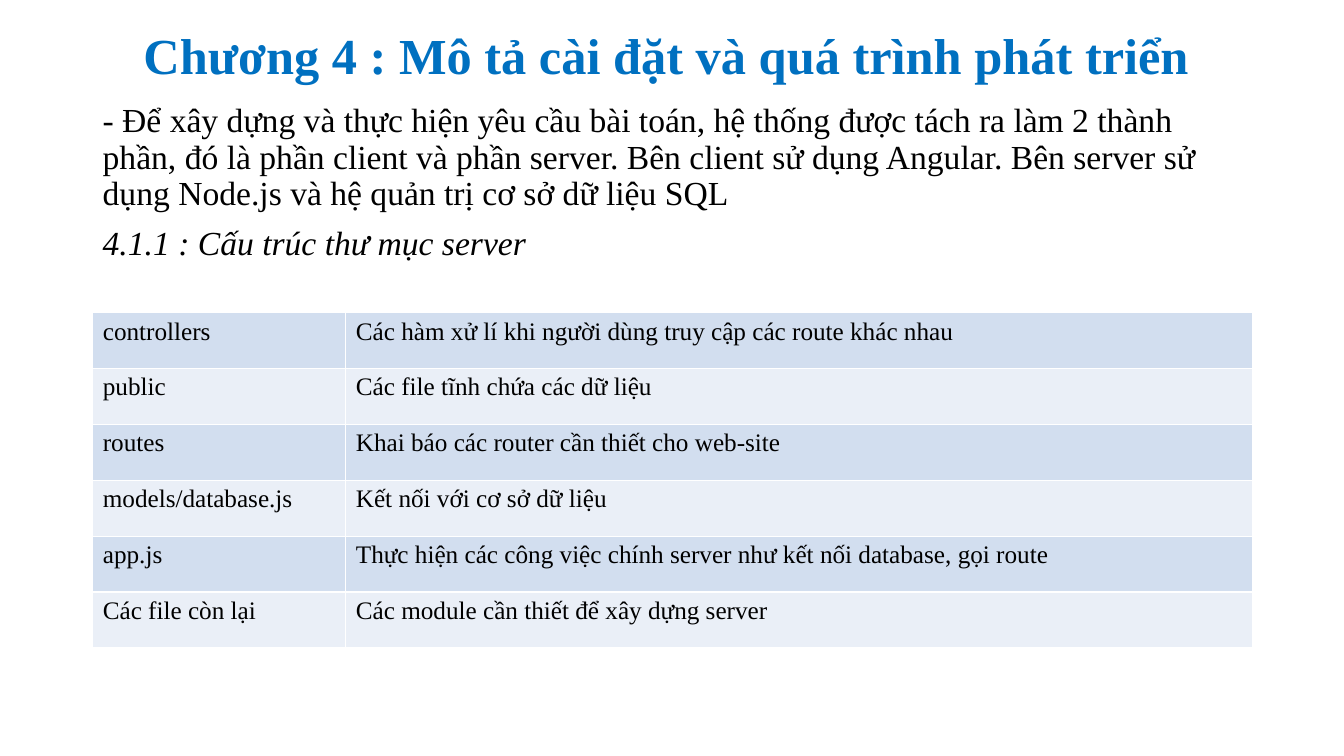
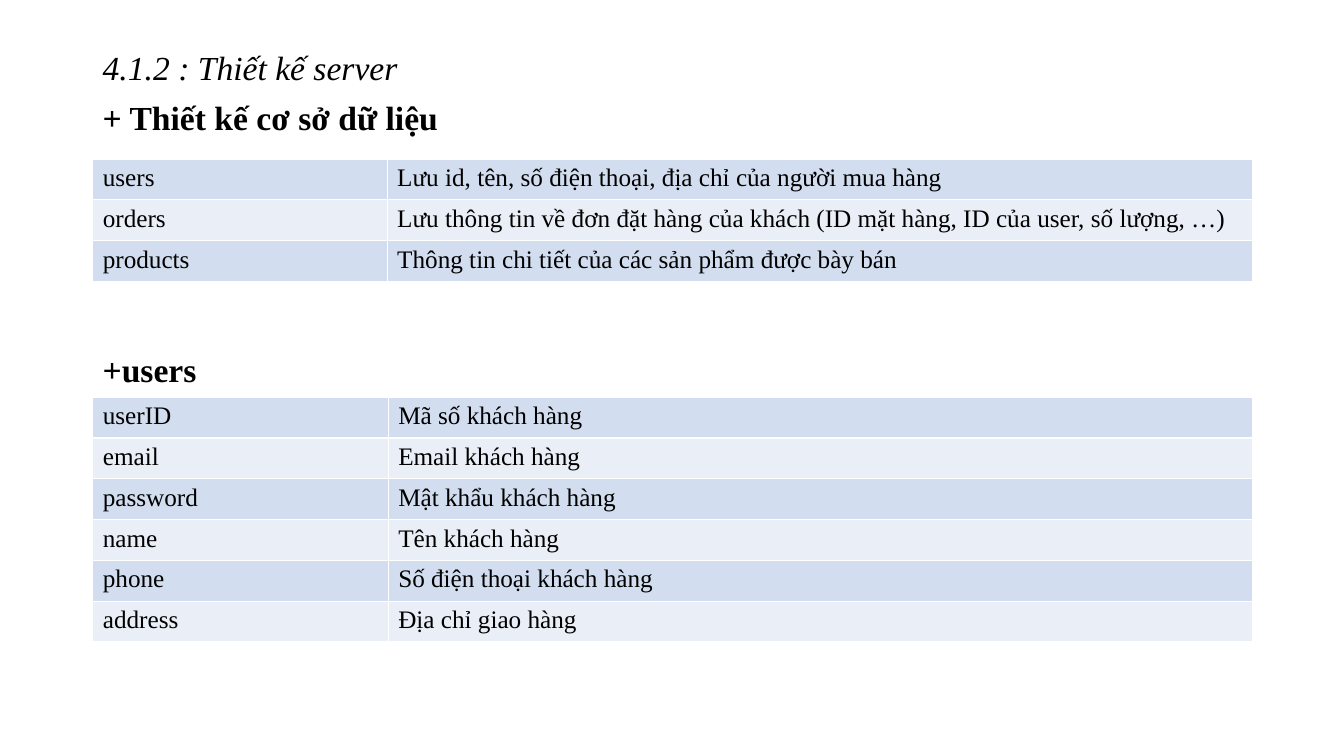
from dataclasses import dataclass

from pptx import Presentation
from pptx.dml.color import RGBColor
from pptx.enum.text import MSO_ANCHOR, MSO_AUTO_SIZE, PP_ALIGN
from pptx.util import Inches, Pt

CENTER = PP_ALIGN.CENTER
MIDDLE = MSO_ANCHOR.MIDDLE
NO_AUTOFIT = MSO_AUTO_SIZE.NONE
TITLE_ONLY, BLANK = 5, 6


@dataclass(frozen=True)
class Theme:
    font: str = "Times New Roman"
    title_color: RGBColor = RGBColor(0x00, 0x70, 0xC0)
    text_color: RGBColor = RGBColor(0x00, 0x00, 0x00)
    bands: tuple = (RGBColor(0xD2, 0xDE, 0xEF), RGBColor(0xEA, 0xEF, 0xF7))
    title_size: int = 36
    body_size: int = 24
    table_size: int = 18
    line_spacing: float = 0.9
    space_before: int = 10
    left: float = 0.92
    width: float = 11.5


THEME = Theme()

FOLDERS = [
    ("controllers", "Các hàm xử lí khi người dùng truy cập các route khác nhau"),
    ("public", "Các file tĩnh chứa các dữ liệu"),
    ("routes", "Khai báo các router cần thiết cho web-site"),
    ("models/database.js", "Kết nối với cơ sở dữ liệu"),
    ("app.js", "Thực hiện các công việc chính server như kết nối database, gọi route"),
    ("Các file còn lại", "Các module cần thiết để xây dựng server"),
]
DATABASE_TABLES = [
    ("users", "Lưu id, tên, số điện thoại, địa chỉ của người mua hàng"),
    ("orders", "Lưu thông tin về đơn đặt hàng của khách (ID mặt hàng, ID của user, số lượng, …)"),
    ("products", "Thông tin chi tiết của các sản phẩm được bày bán"),
]
USER_FIELDS = [
    ("userID", "Mã số khách hàng"),
    ("email", "Email khách hàng"),
    ("password", "Mật khẩu khách hàng"),
    ("name", "Tên khách hàng"),
    ("phone", "Số điện thoại khách hàng"),
    ("address", "Địa chỉ giao hàng"),
]
INTRO = (
    "- Để xây dựng và thực hiện yêu cầu bài toán, hệ thống được tách ra làm 2 thành phần, "
    "đó là phần client và phần server. Bên client sử dụng Angular. "
    "Bên server sử dụng Node.js và hệ quản trị cơ sở dữ liệu SQL"
)


def style_font(para, size, color=THEME.text_color, bold=False, italic=False):
    font = para.font
    font.name = THEME.font
    font.size = Pt(size)
    font.color.rgb = color
    font.bold = bold
    font.italic = italic


def set_title(page, text, top, height):
    title = page.shapes.title
    title.left, title.top = Inches(THEME.left), Inches(top)
    title.width, title.height = Inches(THEME.width), Inches(height)
    frame = title.text_frame
    frame.text = text
    frame.auto_size = NO_AUTOFIT
    frame.vertical_anchor = MIDDLE
    para = frame.paragraphs[0]
    para.alignment = CENTER
    para.line_spacing = THEME.line_spacing
    style_font(para, THEME.title_size, THEME.title_color, bold=True)


def add_body(page, top, height, lines):
    box = page.shapes.add_textbox(
        Inches(THEME.left), Inches(top), Inches(THEME.width), Inches(height)
    )
    frame = box.text_frame
    frame.word_wrap = True
    for index, (text, emphasis) in enumerate(lines):
        para = frame.add_paragraph() if index else frame.paragraphs[0]
        para.text = text
        para.line_spacing = THEME.line_spacing
        para.space_before = Pt(THEME.space_before)
        style_font(para, THEME.body_size, **emphasis)


def add_banded_table(page, top, height, key_width, rows):
    frame = page.shapes.add_table(
        len(rows), 2, Inches(THEME.left), Inches(top), Inches(THEME.width), Inches(height)
    )
    table = frame.table
    table.first_row = False
    table.horz_banding = False
    table.columns[0].width = Inches(key_width)
    table.columns[1].width = Inches(THEME.width - key_width)
    for row_index, texts in enumerate(rows):
        for column_index, text in enumerate(texts):
            cell = table.cell(row_index, column_index)
            cell.text = text
            cell.fill.solid()
            cell.fill.fore_color.rgb = THEME.bands[row_index % 2]
            style_font(cell.text_frame.paragraphs[0], THEME.table_size)


def build_folder_page(deck):
    page = deck.slides.add_slide(deck.slide_layouts[TITLE_ONLY])
    set_title(page, "Chương 4 : Mô tả cài đặt và quá trình phát triển ", 0.18, 0.8)
    add_body(page, 0.98, 1.8, [
        (INTRO, {}),
        ("4.1.1 : Cấu trúc thư mục server", {"italic": True}),
    ])
    add_banded_table(page, 3.1, 3.33, 2.51, FOLDERS)


def build_database_page(deck):
    page = deck.slides.add_slide(deck.slide_layouts[BLANK])
    add_body(page, 0.46, 1, [
        ("4.1.2 : Thiết kế server", {"italic": True}),
        ("+ Thiết kế cơ sở dữ liệu", {"bold": True}),
    ])
    add_banded_table(page, 1.58, 1.21, 2.92, DATABASE_TABLES)
    add_body(page, 3.46, 0.45, [("+users", {"bold": True})])
    add_banded_table(page, 3.94, 2.43, 2.93, USER_FIELDS)


def main():
    deck = Presentation()
    deck.slide_width, deck.slide_height = Inches(13.33), Inches(7.5)
    build_folder_page(deck)
    build_database_page(deck)
    deck.save("out.pptx")


if __name__ == "__main__":
    main()
